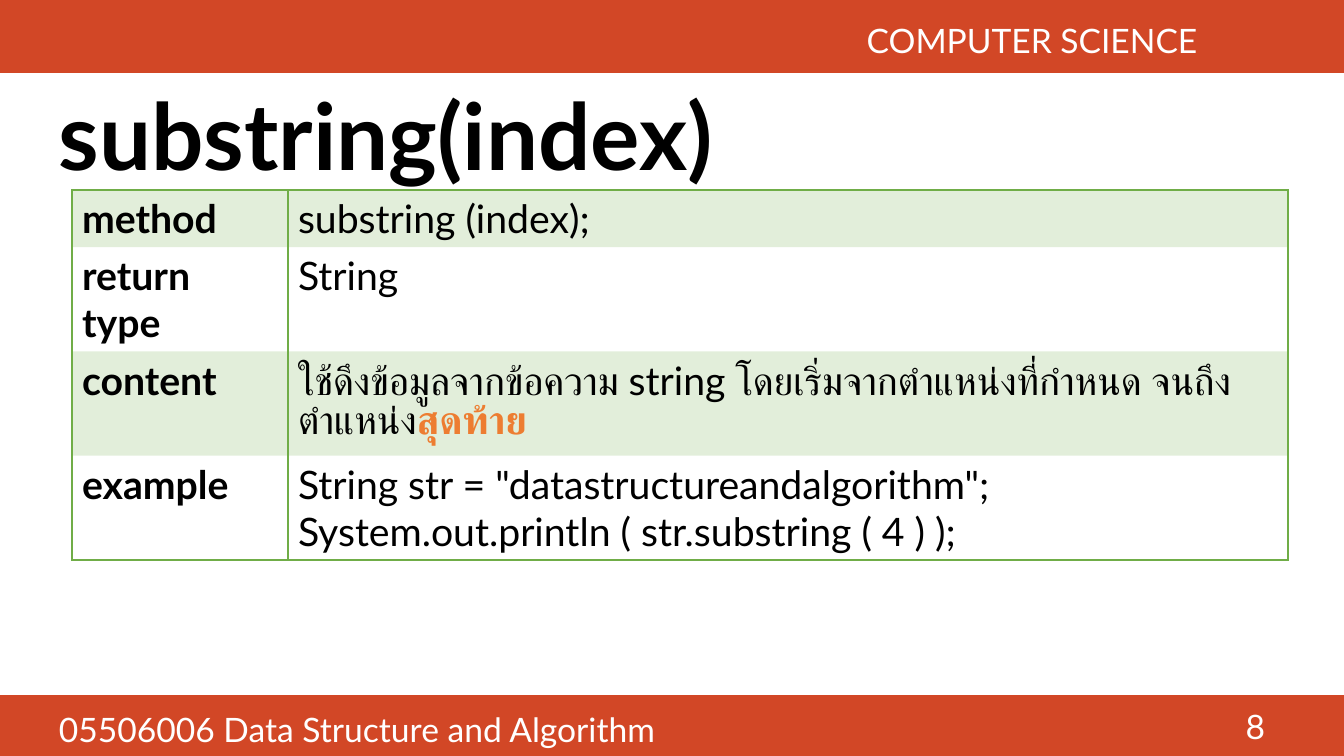
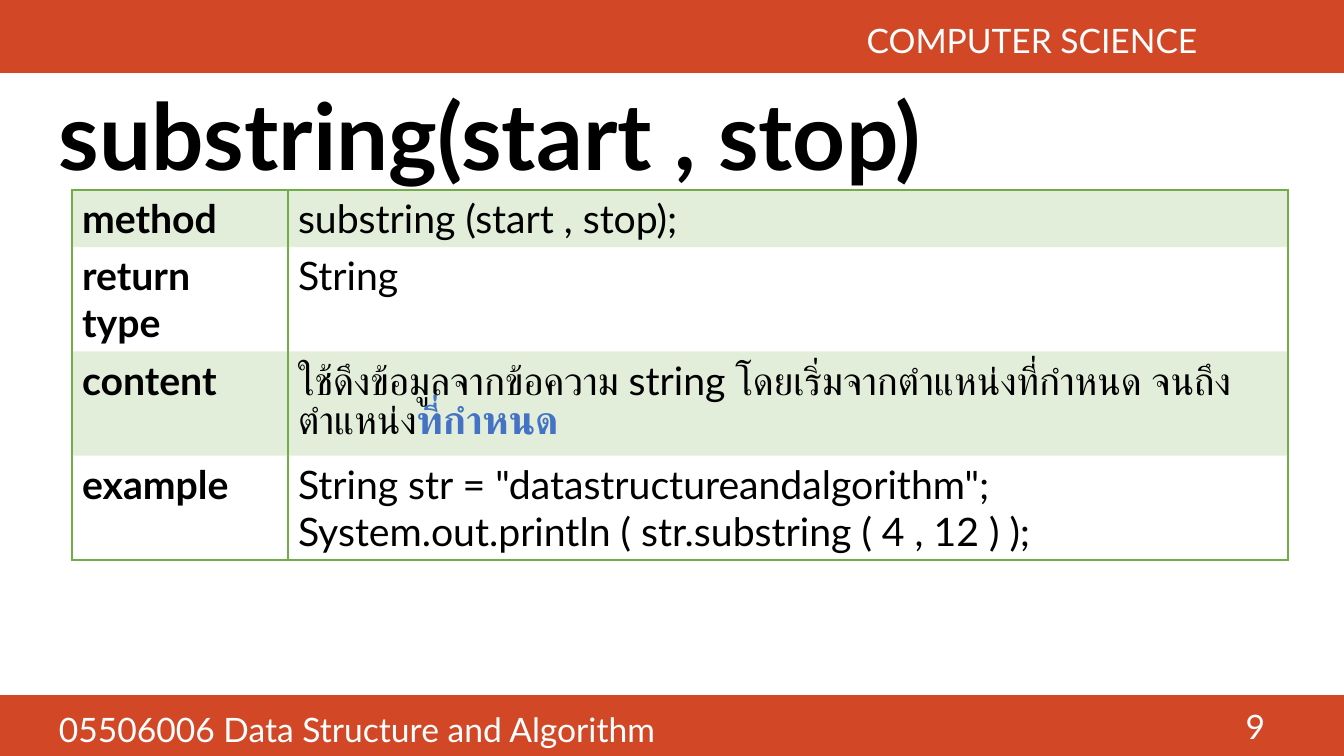
from dataclasses import dataclass

from lxml import etree
from pptx import Presentation
from pptx.dml.color import RGBColor
from pptx.enum import shapes, text
from pptx.oxml import ns
from pptx.util import Pt

EMU_PER_PX = 914400 / 100.8
WIDTH, HEIGHT = 1344, 756


@dataclass(frozen=True)
class Theme:
    """Colours, font and type sizes shared by the slides."""
    font: str = "Lato"
    band: str = "D24726"
    on_band: str = "FFFFFF"
    ink: str = "000000"
    grid: str = "70AD47"
    orange: str = "ED7D31"
    blue: str = "4472C4"
    title_size: int = 66
    band_size: int = 24
    table_size: int = 28


THEME = Theme()
COLUMNS = (216, 1000)
ROW_HEIGHT = 41
CONTENT = "ใช้ดึงข้อมูลจากข้อความ string โดยเริ่มจากตำแหน่งที่กำหนด จนถึงตำแหน่ง"
METHODS = (
    # page, parameters, example arguments, end position, its colour
    (8, "index", "4", "สุดท้าย", THEME.orange),
    (9, "start , stop", "4 , 12", "ที่กำหนด", THEME.blue),
)


def px(*lengths):
    """Turn pixel lengths into EMU."""
    return [round(length * EMU_PER_PX) for length in lengths]


def write(paragraph, words, size, color=THEME.ink, bold=False, align=None,
          line_spacing=None):
    """Append formatted words to a paragraph."""
    run = paragraph.add_run()
    run.text = words
    run.font.name = THEME.font
    run.font.size = Pt(size)
    run.font.bold = bold
    run.font.color.rgb = RGBColor.from_string(color)
    if align is not None:
        paragraph.alignment = align
    if line_spacing is not None:
        paragraph.line_spacing = line_spacing


def add_label(slide, box, words, size, anchor=text.MSO_ANCHOR.TOP, **style):
    """Add a wrapping text box that holds one paragraph."""
    frame = slide.shapes.add_textbox(*px(*box)).text_frame
    frame.word_wrap = True
    frame.vertical_anchor = anchor
    write(frame.paragraphs[0], words, size, **style)


def add_band(slide, top, height):
    """Add a coloured band across the slide."""
    band = slide.shapes.add_shape(
        shapes.MSO_SHAPE.RECTANGLE, *px(0, top, WIDTH, height))
    band.shadow.inherit = False
    band.fill.solid()
    band.fill.fore_color.rgb = RGBColor.from_string(THEME.band)
    band.line.fill.background()


def add_frame(slide, title, page):
    """Add the title, bands, header and footer of every slide."""
    right = text.PP_ALIGN.RIGHT
    middle = text.MSO_ANCHOR.MIDDLE
    add_label(slide, (49, 77, 1238, 128), title, THEME.title_size,
              anchor=middle, bold=True, line_spacing=0.9)
    add_band(slide, 695, 61)
    add_band(slide, 0, 73)
    on_band = {"size": THEME.band_size, "color": THEME.on_band}
    add_label(slide, (-3, 15, 1219, 54), "COMPUTER SCIENCE ", align=right, **on_band)
    add_label(slide, (49, 704, 1157, 67), "05506006 Data Structure and Algorithm",
              **on_band)
    add_label(slide, (973, 706, 302, 40), str(page), anchor=middle, align=right,
              **on_band)


def set_borders(cell, drawn):
    """Draw the named sides of a cell and clear the others."""
    properties = cell._tc.get_or_add_tcPr()
    for position, side in enumerate("LRTB"):
        line = etree.Element(ns.qn("a:ln" + side), w=str(Pt(1)))
        if side in drawn:
            fill = etree.SubElement(line, ns.qn("a:solidFill"))
            etree.SubElement(fill, ns.qn("a:srgbClr"), val=THEME.grid)
        else:
            etree.SubElement(line, ns.qn("a:noFill"))
        properties.insert(position, line)


def set_fill(cell, tinted):
    """Give a cell the pale grid tint or no fill."""
    if not tinted:
        cell.fill.background()
        return
    cell.fill.solid()
    cell.fill.fore_color.rgb = RGBColor.from_string(THEME.grid)
    color = cell._tc.tcPr.find(".//" + ns.qn("a:srgbClr"))
    etree.SubElement(color, ns.qn("a:alpha"), val="20000")


def add_method_table(slide, rows):
    """Add a table of (name, paragraphs); a paragraph lists (words, style) runs."""
    table = slide.shapes.add_table(
        len(rows), len(COLUMNS),
        *px(72, 190, sum(COLUMNS), ROW_HEIGHT * len(rows))).table
    table.first_row = table.horz_banding = False
    for column, width in zip(table.columns, px(*COLUMNS)):
        column.width = width
    last = len(rows) - 1
    for index, (name, description) in enumerate(rows):
        table.rows[index].height = px(ROW_HEIGHT)[0]
        sides = "LR" + "T" * (index == 0) + "B" * (index == last)
        heading = [[(name, {"bold": True})]]
        for cell, paragraphs in zip(table.rows[index].cells, (heading, description)):
            set_fill(cell, index % 2 == 0)
            set_borders(cell, sides)
            for number, runs in enumerate(paragraphs):
                frame = cell.text_frame
                paragraph = frame.add_paragraph() if number else frame.paragraphs[0]
                for words, style in runs:
                    write(paragraph, words, THEME.table_size, **style)


def add_method_slide(deck, page, parameters, arguments, end, accent):
    """Add a slide that describes one form of substring."""
    slide = deck.slides.add_slide(deck.slide_layouts[6])
    add_frame(slide, f"substring({parameters})", page)
    add_method_table(slide, [
        ("method", [[(f"substring ({parameters});", {})]]),
        ("return type", [[("String", {})]]),
        ("content", [[(CONTENT, {}), (end, {"color": accent, "bold": True})]]),
        ("example", [
            [('String str = "datastructureandalgorithm";', {})],
            [(f"System.out.println ( str.substring ( {arguments} ) );", {})],
        ]),
    ])


def main():
    """Build the slides and save them."""
    deck = Presentation()
    deck.slide_width, deck.slide_height = px(WIDTH, HEIGHT)
    for method in METHODS:
        add_method_slide(deck, *method)
    deck.save("out.pptx")


main()
